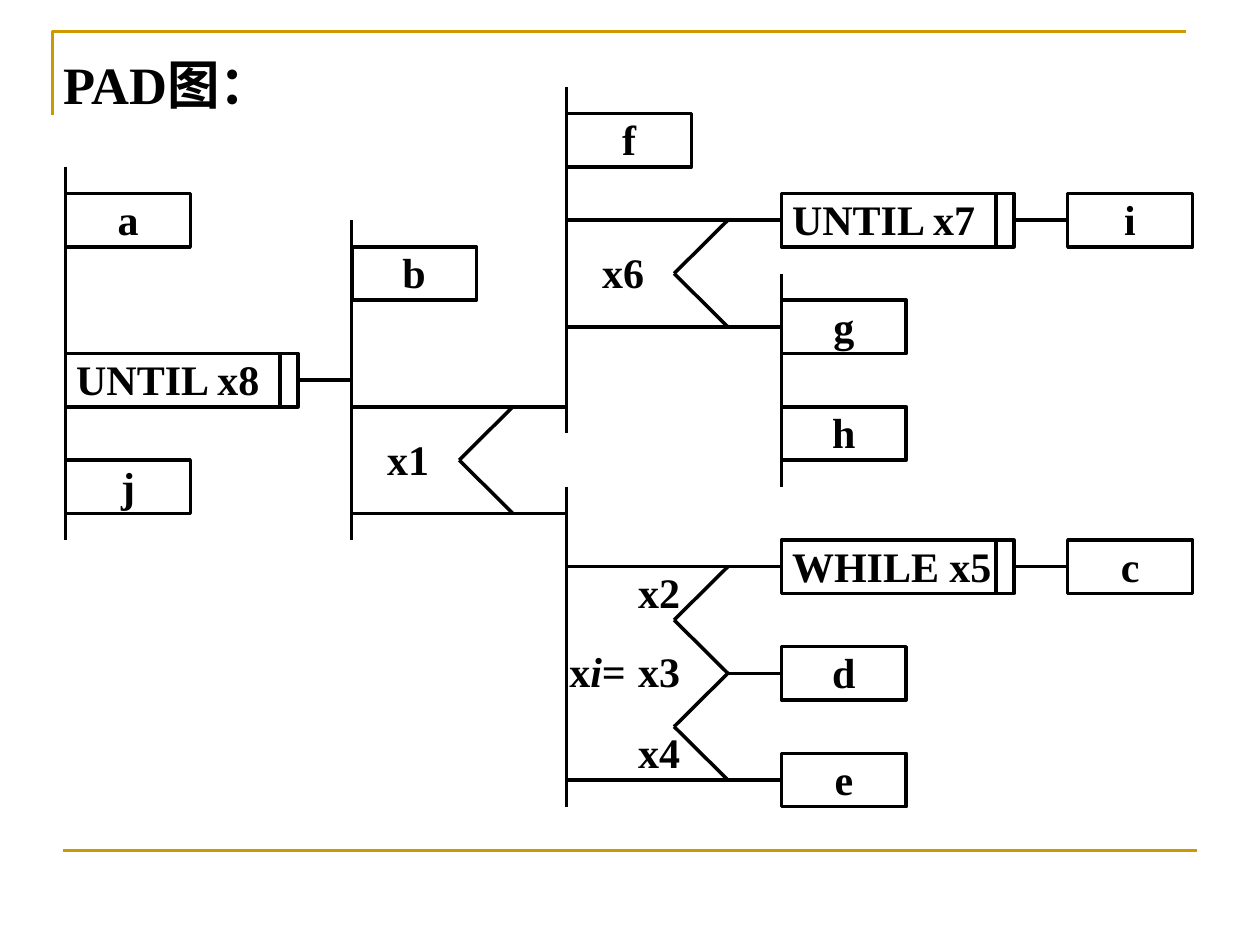
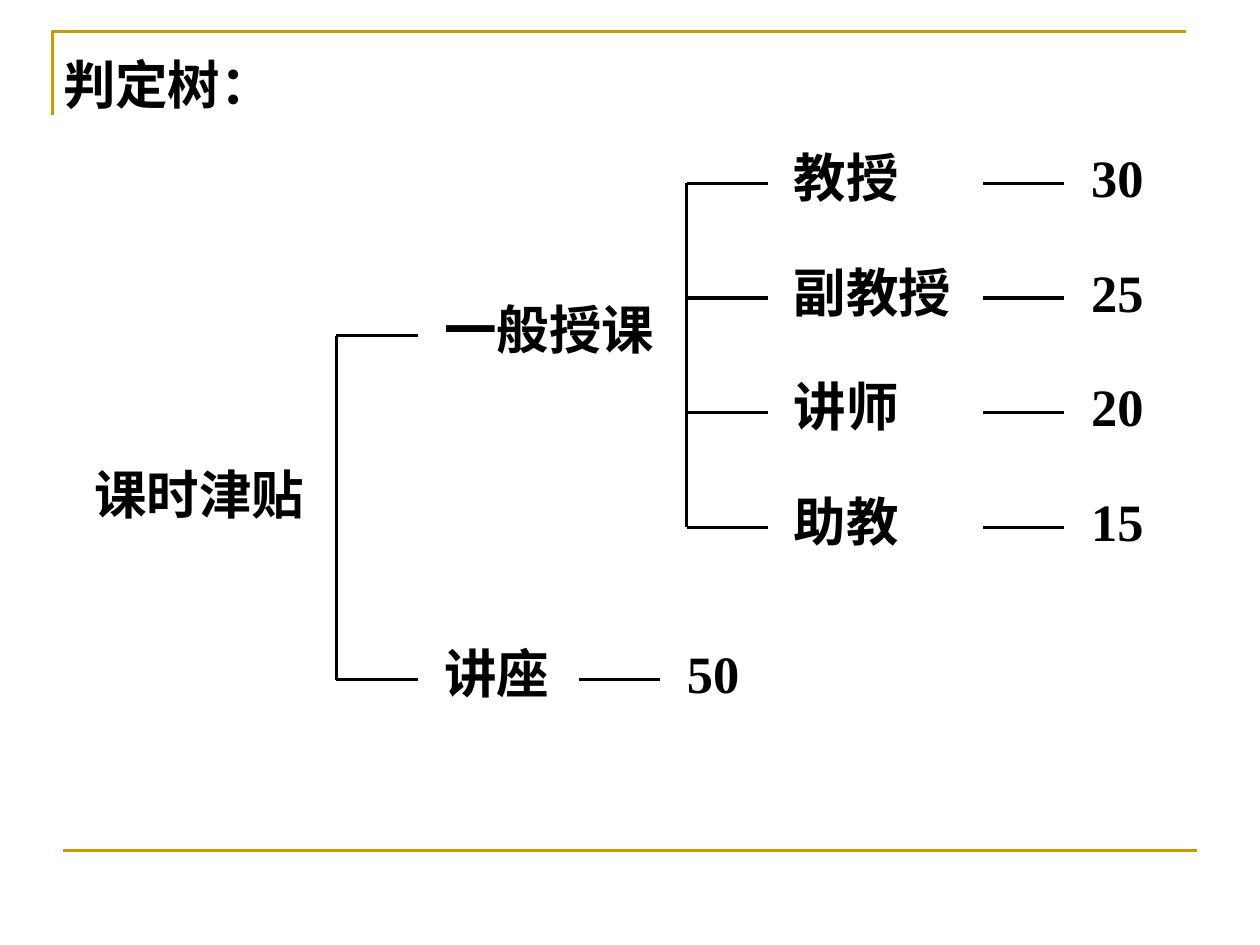
from dataclasses import dataclass

from lxml import etree
from pptx import Presentation
from pptx.dml.color import RGBColor
from pptx.enum.shapes import MSO_CONNECTOR, MSO_SHAPE
from pptx.enum.text import MSO_ANCHOR, MSO_AUTO_SIZE, PP_ALIGN
from pptx.oxml.ns import qn
from pptx.util import Pt

LEFT, CENTER = PP_ALIGN.LEFT, PP_ALIGN.CENTER
TOP = MSO_ANCHOR.TOP
FIXED = MSO_AUTO_SIZE.NONE
RECTANGLE = MSO_SHAPE.RECTANGLE
STRAIGHT = MSO_CONNECTOR.STRAIGHT
TITLE_ONLY = 5


@dataclass(frozen=True)
class Theme:
    """Colours, typefaces, type sizes and line weights."""
    ink: RGBColor = RGBColor(0, 0, 0)
    paper: RGBColor = RGBColor(255, 255, 255)
    gold: RGBColor = RGBColor(0xCC, 0x99, 0x00)
    serif: str = "Times New Roman"
    sans: str = "Arial"
    chinese: str = "Noto Sans CJK SC"
    heading_size: float = 30
    node_size: float = 24
    rule_weight: float = 1.5
    line_weight: float = 2


THEME = Theme()


def add_run(paragraph, words, size, font, italic=False):
    """Append one bold run with its Latin and East Asian typefaces."""
    run = paragraph.add_run()
    run.text = words
    run.font.size = Pt(size)
    run.font.name = font
    run.font.bold = True
    run.font.italic = italic
    run.font.color.rgb = THEME.ink
    east_asian = etree.SubElement(run.font._element, qn("a:ea"))
    east_asian.set("typeface", THEME.chinese)


def set_frame(frame, align=LEFT, inset_x=0, inset_y=0, wrap=True):
    """Lay out a text frame and return its first paragraph."""
    frame.auto_size = FIXED
    frame.word_wrap = wrap
    frame.vertical_anchor = TOP
    frame.margin_left, frame.margin_right = Pt(inset_x), Pt(0)
    frame.margin_top = frame.margin_bottom = Pt(inset_y)
    paragraph = frame.paragraphs[0]
    paragraph.alignment = align
    return paragraph


def add_line(slide, start, end, color=THEME.ink, weight=THEME.line_weight):
    """Draw a straight line between two points."""
    line = slide.shapes.add_connector(STRAIGHT, *map(Pt, (*start, *end)))
    line.line.color.rgb = color
    line.line.width = Pt(weight)
    etree.SubElement(line._element.spPr, qn("a:effectLst"))
    return line


def add_polyline(slide, points, color=THEME.ink, weight=THEME.line_weight):
    """Draw an open, unfilled outline through the points."""
    start, *rest = [tuple(map(Pt, point)) for point in points]
    builder = slide.shapes.build_freeform(*start)
    builder.add_line_segments(rest, close=False)
    outline = builder.convert_to_shape()
    outline.fill.background()
    outline.line.color.rgb = color
    outline.line.width = Pt(weight)
    outline.shadow.inherit = False
    return outline


def add_label(slide, box, runs, size, font, wrap=True):
    """Place a text label; each run is its words and an italic flag."""
    label = slide.shapes.add_textbox(*map(Pt, box))
    paragraph = set_frame(label.text_frame, wrap=wrap)
    for words, italic in runs:
        add_run(paragraph, words, size, font, italic)


def add_frame_rules(slide, layout):
    """Put the gold corner and the foot rule on the shared layout."""
    corner = add_polyline(slide, [(30, 66), (30, 18), (678, 18)],
                          THEME.gold, THEME.rule_weight)
    foot = add_line(slide, (36, 486), (684, 486), THEME.gold, THEME.rule_weight)
    for rule in (corner, foot):
        layout.shapes.element.append(rule._element)


def add_heading(slide, box, words, font):
    """Fill and place the title placeholder."""
    title = slide.shapes.title
    title.left, title.top, title.width, title.height = map(Pt, box)
    paragraph = set_frame(title.text_frame, inset_y=3.6)
    add_run(paragraph, words, THEME.heading_size, font)


class PadChart:
    """A problem analysis diagram on a grid of rows and columns."""
    ROW, STEP = 15.23, 30.7
    BOX, LOOP, BAR = 71.3, 132.8, 122.6

    def __init__(self, slide, left, top):
        """Fix the origin and the five column positions."""
        self.slide, self.top = slide, top
        loop_span, fork_span = self.LOOP + self.STEP, 4 * self.STEP
        self.columns = [left]
        for span in (loop_span, fork_span, fork_span, loop_span):
            self.columns.append(self.columns[-1] + span)

    def at(self, column, row, steps=0):
        """Return the point some steps right of a column."""
        return self.columns[column] + steps * self.STEP, self.top + row * self.ROW

    def spine(self, column, first, last):
        """Draw the vertical line of a sequence."""
        add_line(self.slide, self.at(column, first), self.at(column, last))

    def process(self, column, row, words, width=BOX, align=CENTER, inset=0):
        """Draw a two-row process box."""
        x, y = self.at(column, row)
        node = self.slide.shapes.add_shape(
            RECTANGLE, *map(Pt, (x, y, width, 2 * self.ROW)))
        node.fill.solid()
        node.fill.fore_color.rgb = THEME.paper
        node.line.color.rgb = THEME.ink
        node.line.width = Pt(THEME.line_weight)
        node.shadow.inherit = False
        paragraph = set_frame(node.text_frame, align, inset)
        add_run(paragraph, words, THEME.node_size, THEME.serif)

    def loop(self, column, row, words):
        """Draw a loop box with its bar and the link to its body."""
        self.process(column, row, words, self.LOOP, LEFT, 6)
        x, y = self.at(column, row)
        add_line(self.slide, (x + self.BAR, y), (x + self.BAR, y + 2 * self.ROW))
        middle = y + self.ROW
        add_line(self.slide, (x + self.LOOP, middle),
                 (x + self.LOOP + self.STEP, middle))

    def fork(self, column, rows):
        """Draw a selection whose branches leave at the given rows."""
        for row in rows:
            inner = row not in (rows[0], rows[-1])
            add_line(self.slide, self.at(column, row, 3 if inner else 0),
                     self.at(column, row, 4))
        for upper, lower in zip(rows, rows[1:]):
            notch = self.at(column, (upper + lower) / 2, 2)
            add_line(self.slide, self.at(column, upper, 3), notch)
            add_line(self.slide, notch, self.at(column, lower, 3))

    def condition(self, column, row, steps, *runs):
        """Write a condition beside a fork."""
        box = (*self.at(column, row, steps), 1.35 * self.STEP, 2 * self.ROW)
        add_label(self.slide, box, runs, THEME.node_size, THEME.serif, False)


def add_pad_diagram(slide, left, top):
    """Build the whole PAD diagram from its top-left point."""
    pad = PadChart(slide, left, top)
    for column, row, words in [
            (0, 4, "a"), (0, 14, "j"), (1, 6, "b"), (2, 1, "f"), (3, 8, "g"),
            (3, 12, "h"), (3, 21, "d"), (3, 25, "e"), (4, 4, "i"), (4, 17, "c")]:
        pad.process(column, row, words)
    for column, row, words in [
            (0, 10, "UNTIL x8"), (3, 4, "UNTIL x7"), (3, 17, "WHILE x5")]:
        pad.loop(column, row, words)
    for column, first, last in [
            (0, 3, 17), (1, 5, 17), (2, 0, 13), (2, 15, 27), (3, 7, 15)]:
        pad.spine(column, first, last)
    for column, rows in [(1, (12, 16)), (2, (5, 9)), (2, (18, 22, 26))]:
        pad.fork(column, rows)
    for column, row, steps, words in [
            (1, 13, 0.66, "x1"), (2, 6, 0.66, "x6"), (2, 18, 1.33, "x2"),
            (2, 20.95, 1.33, "x3"), (2, 24, 1.33, "x4")]:
        pad.condition(column, row, steps, (words, False))
    pad.condition(2, 20.95, 0.05, ("x", False), ("i", True), ("=", False))


def add_bracket(slide, x, rows, tick):
    """Draw a vertical line with a tick at each row."""
    add_line(slide, (x, rows[0]), (x, rows[-1]))
    for y in rows:
        add_line(slide, (x, y), (x + tick, y))


def add_decision_tree(slide, left, top):
    """Build the decision tree from its top-left point."""
    tick, pitch, rise, height = 46.3, 65.5, 21.8, 36
    ranks = [("教授", "30"), ("副教授", "25"), ("讲师", "20"), ("助教", "15")]
    rank_rows = [top + rise + pitch * index for index in range(len(ranks))]
    kind_rows = [rank_rows[0] + 87, rank_rows[-1] + 87]

    def entry(x, y, width, words, font=THEME.chinese):
        """Write one entry level with a row."""
        add_label(slide, (left + x, y - rise, width, height), [(words, False)],
                  THEME.heading_size, font, False)

    def outcome(x, y, words):
        """Draw a dash and the amount it leads to."""
        add_line(slide, (left + x, y), (left + x + tick, y))
        entry(x + 62, y, 30, words, THEME.serif)

    entry(0, sum(kind_rows) / 2 - 4.5, 122, "课时津贴")
    add_bracket(slide, left + 138.3, kind_rows, tick)
    for y, words in zip(kind_rows, ("一般授课", "讲座")):
        entry(200, y, 122, words)
    outcome(276.6, kind_rows[1], "50")
    add_bracket(slide, left + 338.4, rank_rows, tick)
    for y, (rank, amount) in zip(rank_rows, ranks):
        entry(399.6, y, 104, rank)
        outcome(507.6, y, amount)


def main():
    """Build both slides and save the presentation."""
    deck = Presentation()
    deck.slide_width, deck.slide_height = Pt(720), Pt(540)
    layout = deck.slide_layouts[TITLE_ONLY]
    pages = [("PAD图：", THEME.serif, add_pad_diagram, (37.5, 49.7)),
             ("判定树：", THEME.sans, add_decision_tree, (54, 83))]
    for index, (heading, font, add_diagram, origin) in enumerate(pages):
        slide = deck.slides.add_slide(layout)
        if index == 0:
            add_frame_rules(slide, layout)
        add_diagram(slide, *origin)
        add_heading(slide, (36, 26, 145.5, 48), heading, font)
    deck.save("out.pptx")


main()
